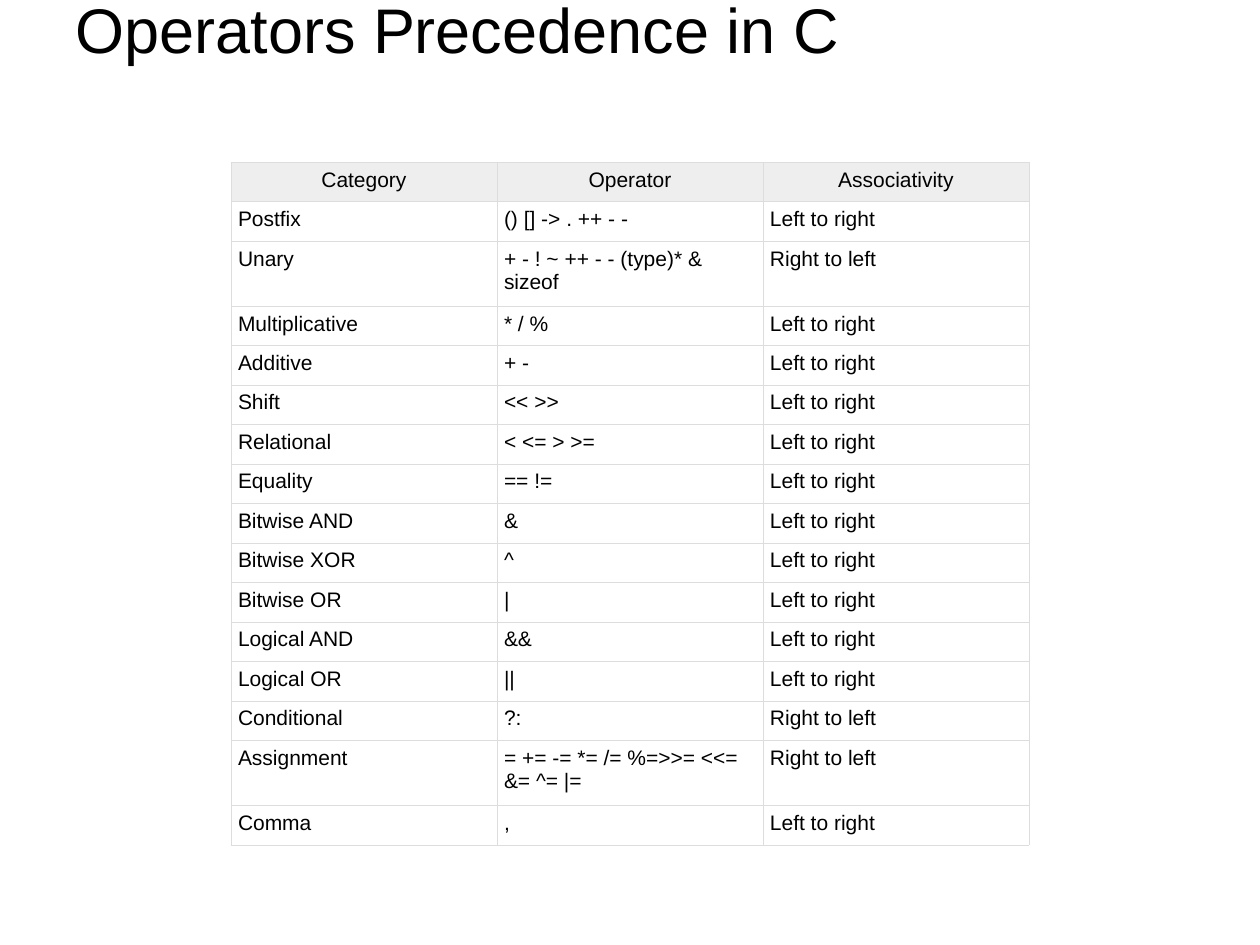
from typing import NamedTuple

from lxml import etree
from pptx import Presentation
from pptx.dml.color import RGBColor
from pptx.enum.text import MSO_ANCHOR, MSO_AUTO_SIZE, PP_ALIGN
from pptx.oxml.ns import qn
from pptx.util import Pt

LEFT = PP_ALIGN.LEFT
CENTER = PP_ALIGN.CENTER
MIDDLE = MSO_ANCHOR.MIDDLE
TOP = MSO_ANCHOR.TOP
NO_AUTOFIT = MSO_AUTO_SIZE.NONE

EMU_PER_PX = 914400 / 126
FONT = "Arial"
BLACK = "000000"
HEADER_GRAY = "EEEEEE"
BORDER_GRAY = "DDDDDD"
BORDER_WIDTH = Pt(0.34)

TABLE_LEFT, TABLE_TOP = 231, 162
TABLE_HEIGHT = 683
COLUMN_WIDTH = 266
TALL_ROW_HEIGHT = 65
CELL_INSET_X, CELL_INSET_Y = 7, 6


class Precedence(NamedTuple):
    category: str
    operators: str
    associativity: str = "Left to right"
    tall: bool = False


HEADINGS = Precedence("Category", "Operator", "Associativity")
LEVELS = [
    Precedence("Postfix", "() [] -> . ++ - -"),
    Precedence("Unary", "+ - ! ~ ++ - - (type)* & sizeof", "Right to left", True),
    Precedence("Multiplicative", "* / %"),
    Precedence("Additive", "+ -"),
    Precedence("Shift", "<< >>"),
    Precedence("Relational", "< <= > >="),
    Precedence("Equality", "== !="),
    Precedence("Bitwise AND", "&"),
    Precedence("Bitwise XOR", "^"),
    Precedence("Bitwise OR", "|"),
    Precedence("Logical AND", "&&"),
    Precedence("Logical OR", "||"),
    Precedence("Conditional", "?:", "Right to left"),
    Precedence("Assignment", "= += -= *= /= %=>>= <<= &= ^= |=", "Right to left", True),
    Precedence("Comma", ","),
]


def px(length: int) -> int:
    return round(length * EMU_PER_PX)


def color(value: str) -> RGBColor:
    return RGBColor.from_string(value)


def write_text(frame, text: str, *, size: int, align=LEFT, ink: str = BLACK):
    para = frame.paragraphs[0]
    para.alignment = align
    span = para.add_run()
    span.text = text
    span.font.name = FONT
    span.font.size = Pt(size)
    span.font.color.rgb = color(ink)
    return para


def end_with_line_break(para, size: int) -> None:
    para.add_line_break()
    line_break = para._p.find(qn("a:br"))
    for parent, tag in ((line_break, "a:rPr"), (para._p, "a:endParaRPr")):
        etree.SubElement(parent, qn(tag), sz=str(size * 100))


def add_borders(cell) -> None:
    properties = cell._tc.get_or_add_tcPr()
    for side in ("L", "R", "T", "B"):
        line = etree.SubElement(properties, qn(f"a:ln{side}"), w=str(BORDER_WIDTH))
        fill = etree.SubElement(line, qn("a:solidFill"))
        etree.SubElement(fill, qn("a:srgbClr"), val=BORDER_GRAY)


def fill_cell(cell, text: str, is_heading: bool) -> None:
    cell.margin_left = cell.margin_right = px(CELL_INSET_X)
    cell.margin_top = cell.margin_bottom = px(CELL_INSET_Y)
    cell.vertical_anchor = TOP
    add_borders(cell)
    if is_heading:
        cell.fill.solid()
        cell.fill.fore_color.rgb = color(HEADER_GRAY)
    else:
        cell.fill.background()
    write_text(cell.text_frame, text, size=12, align=CENTER if is_heading else LEFT)


def add_title(slide, text: str) -> None:
    title = slide.shapes.title
    title.left, title.top, title.width, title.height = px(63), px(26), px(1134), px(81)
    frame = title.text_frame
    frame.word_wrap = True
    frame.auto_size = NO_AUTOFIT
    frame.vertical_anchor = MIDDLE
    para = write_text(frame, text, size=36)
    end_with_line_break(para, 36)


def add_precedence_table(slide, rows: list[Precedence]) -> None:
    column_count = 3
    table = slide.shapes.add_table(
        len(rows), column_count, px(TABLE_LEFT), px(TABLE_TOP),
        px(COLUMN_WIDTH * column_count), px(TABLE_HEIGHT),
    ).table
    table.first_row = False
    table.horz_banding = False
    for column in table.columns:
        column.width = px(COLUMN_WIDTH)
    tall_count = sum(row.tall for row in rows)
    short_total = px(TABLE_HEIGHT - tall_count * TALL_ROW_HEIGHT)
    short_height = short_total // (len(rows) - tall_count)
    for row_index, row in enumerate(rows):
        table.rows[row_index].height = px(TALL_ROW_HEIGHT) if row.tall else short_height
        for column_index, text in enumerate(row[:column_count]):
            fill_cell(table.cell(row_index, column_index), text, row_index == 0)


def main() -> None:
    deck = Presentation()
    deck.slide_width, deck.slide_height = px(1260), px(945)
    page = deck.slides.add_slide(deck.slide_layouts[5])
    add_title(page, "Operators Precedence in C")
    add_precedence_table(page, [HEADINGS, *LEVELS])
    deck.save("out.pptx")


if __name__ == "__main__":
    main()
